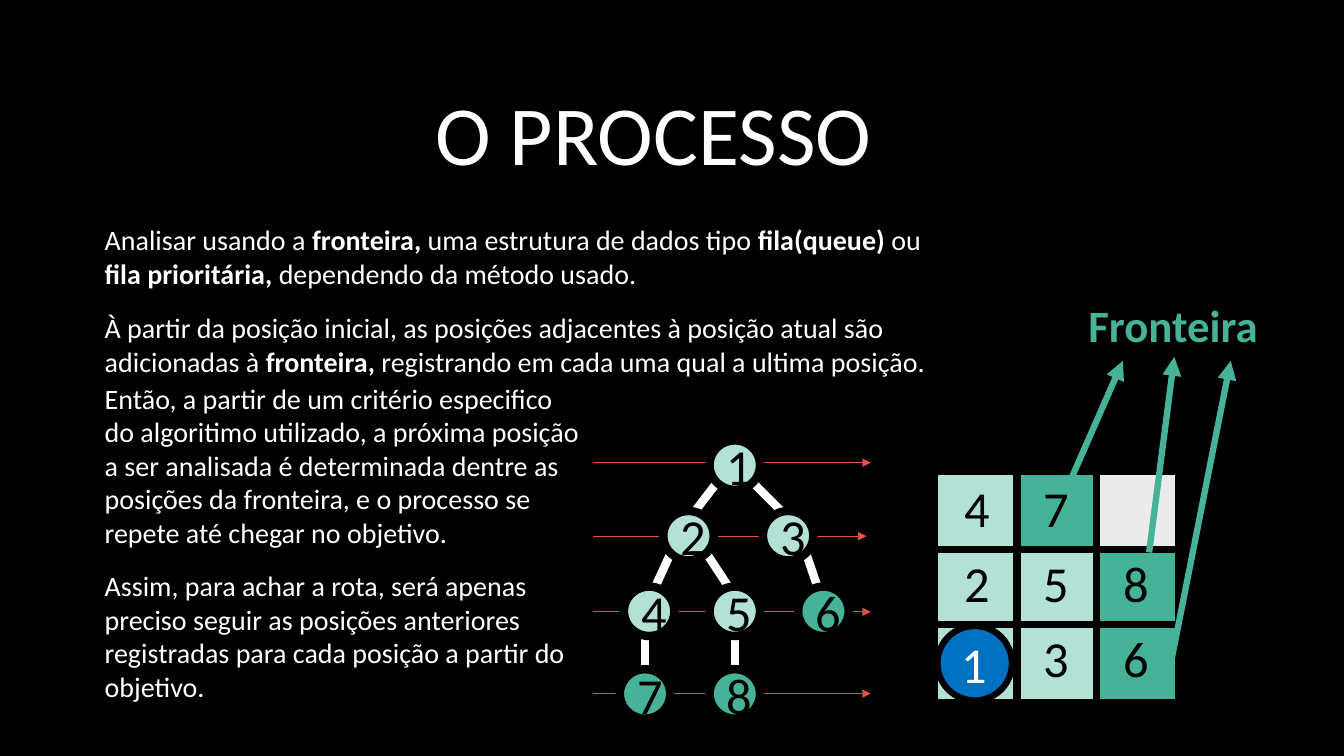
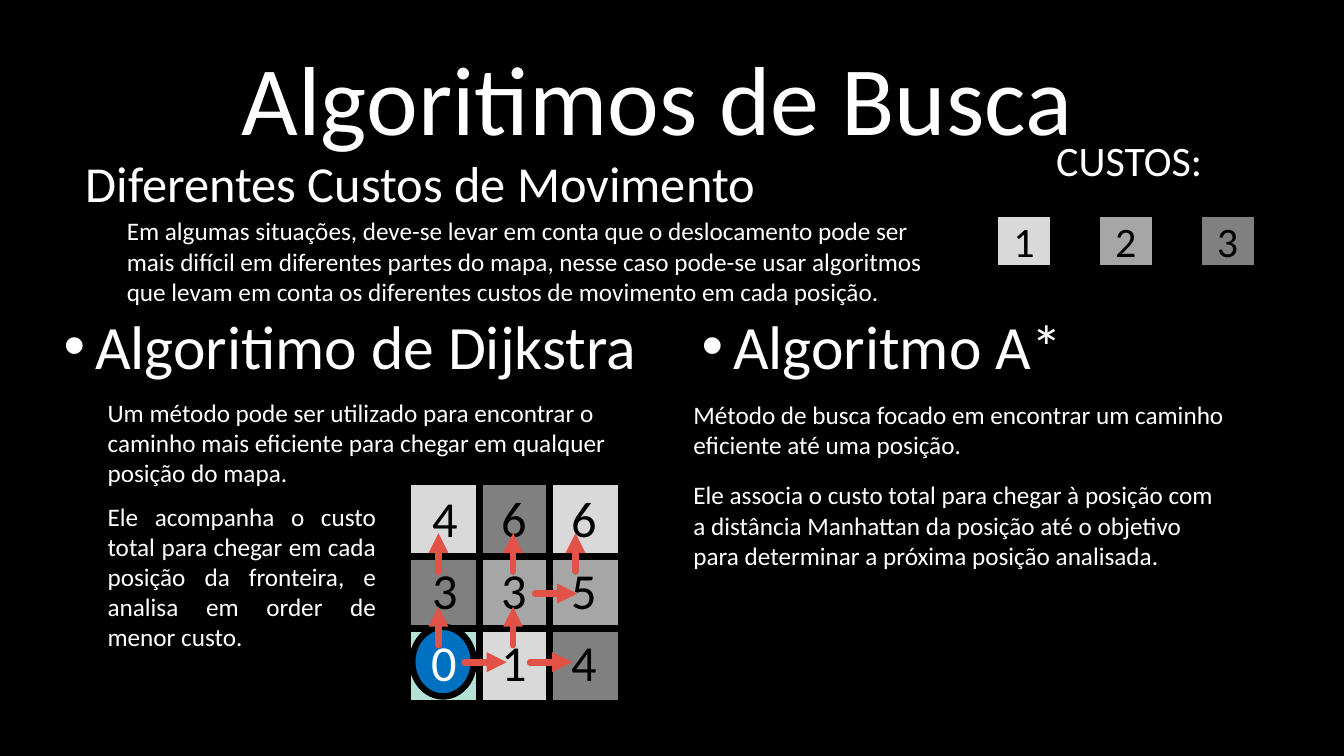
from lxml.etree import SubElement
from pptx import Presentation
from pptx.dml.color import RGBColor
from pptx.enum.shapes import MSO_CONNECTOR, MSO_SHAPE
from pptx.enum.text import MSO_ANCHOR, MSO_AUTO_SIZE, PP_ALIGN
from pptx.oxml.ns import qn
from pptx.util import Pt

FONT = "Calibri"
COLORS = {
    "black": "000000", "white": "FFFFFF", "mint": "B4E1D6", "green": "46B298",
    "blue": "0070C0", "red": "E25247", "free": "EBEBEB",
    "cost1": "D9D9D9", "cost2": "A6A6A6", "cost3": "808080",
}
NODE_W, NODE_H = 36, 35.3
NODES = {
    "1": (506.9, 314.6, "mint"), "2": (473.8, 365, "mint"), "3": (545, 365, "mint"),
    "4": (445.7, 419, "mint"), "5": (506.9, 419, "mint"), "6": (570.2, 419, "green"),
    "7": (442.8, 478, "green"), "8": (506.9, 478, "green"),
}
LINKS = ["12", "13", "24", "25", "36", "47", "58"]


def rgb(name):
    """Return the named colour."""
    return RGBColor.from_string(COLORS[name])


def pts(*values):
    """Turn numbers into lengths in points."""
    return [Pt(v) for v in values]


def style(p, size, color="white", align=None, bold=None):
    """Format a whole paragraph."""
    f = p.font
    f.name, f.size, f.bold = FONT, Pt(size), bold
    f.color.rgb = rgb(color)
    p.alignment = align


def add_text(s, box, text, size, color="white", align=None, bold=None):
    """Add a text box where **marked** words are bold."""
    tf = s.shapes.add_textbox(*pts(*box)).text_frame
    tf.word_wrap = True
    p = tf.paragraphs[0]
    style(p, size, color, align, bold)
    for i, part in enumerate(text.split("**")):
        if part:
            r = p.add_run()
            r.text = part
            if i % 2:
                r.font.bold = True


def fill_placeholder(ph, box, text, size, align, anchor=MSO_ANCHOR.MIDDLE):
    """Move a placeholder, then write and format its text."""
    ph.left, ph.top, ph.width, ph.height = pts(*box)
    tf = ph.text_frame
    tf.text = text
    tf.word_wrap, tf.auto_size, tf.vertical_anchor = True, MSO_AUTO_SIZE.NONE, anchor
    style(tf.paragraphs[0], size, align=align)
    return tf.paragraphs[0]


def add_heading(ph, box, text):
    """Fill a body placeholder with one large bullet."""
    p = fill_placeholder(ph, box, text, 44, PP_ALIGN.LEFT)
    p.space_before, p.space_after = Pt(0), Pt(10)
    pPr = p._p.get_or_add_pPr()
    pPr.set("marL", str(Pt(22.5)))
    pPr.set("indent", str(-Pt(22.5)))


def add_box(s, kind, box, fill, line_width, text="", size=36, color="black"):
    """Add a black-outlined shape with a centred label."""
    sp = s.shapes.add_shape(kind, *pts(*box))
    sp.shadow.inherit = False
    sp.fill.solid()
    sp.fill.fore_color.rgb = rgb(fill)
    sp.line.color.rgb = rgb("black")
    sp.line.width = Pt(line_width)
    if text:
        tf = sp.text_frame
        tf.text = text
        tf.vertical_anchor = MSO_ANCHOR.MIDDLE
        style(tf.paragraphs[0], size, color, PP_ALIGN.CENTER)


def add_line(s, start, end, color, width, arrow=True, cap="flat"):
    """Add a straight line, with an arrowhead at its end if wanted."""
    cxn = s.shapes.add_connector(MSO_CONNECTOR.STRAIGHT, *pts(*start, *end))
    cxn.line.color.rgb = rgb(color)
    cxn.line.width = Pt(width)
    ln = cxn.line._get_or_add_ln()
    ln.set("cap", cap)
    if arrow:
        SubElement(ln, qn("a:tailEnd"), type="triangle")
    SubElement(cxn._element.spPr, qn("a:effectLst"))


def set_borders(cell, widths):
    """Draw black left, right, top and bottom borders."""
    tcPr = cell._tc.get_or_add_tcPr()
    for i, (side, width) in enumerate(zip("LRTB", widths)):
        ln = SubElement(tcPr, qn(f"a:ln{side}"), w=str(Pt(width)))
        solid = SubElement(ln, qn("a:solidFill"))
        SubElement(solid, qn("a:srgbClr"), val=COLORS["black"])
        tcPr.insert(i, ln)


def add_map(s, left, top, col_w, row_h, frame, rows):
    """Add a framed 3 by 3 map of (label, colour) cells."""
    add_box(s, MSO_SHAPE.RECTANGLE, frame, "black", 3)
    tbl = s.shapes.add_table(3, 3, *pts(left, top, 3 * col_w, 3 * row_h)).table
    tbl.first_row = tbl.horz_banding = False
    for i, row in enumerate(rows):
        tbl.columns[i].width, tbl.rows[i].height = pts(col_w, row_h)
        for j, (label, color) in enumerate(row):
            cell = tbl.cell(i, j)
            cell.fill.solid()
            cell.fill.fore_color.rgb = rgb(color)
            set_borders(cell, [6 if inner else 1 for inner in (j > 0, j < 2, i > 0, i < 2)])
            if label:
                cell.text = label
                style(cell.text_frame.paragraphs[0], 36, "black", PP_ALIGN.CENTER)


def add_tree(s):
    """Draw the search tree with its level arrows."""
    for y, end in ((495.4, 622), (437, 622), (383, 619), (330.5, 622)):
        add_line(s, (423.4, y), (end, y), "red", 0.75)
    for parent, child in LINKS:
        (x1, y1, _), (x2, y2, _) = NODES[parent], NODES[child]
        side = 0 if abs(x2 - x1) < 10 else (1 if x2 > x1 else -1)
        x = (x1 if side else x2) + NODE_W / 2
        drop = NODE_H * (0.85 if side else 1)
        add_line(s, (x + side * 12.7, y1 + drop),
                 (x2 + NODE_W / 2 - side * 4, y2 + 1), "white", 6, arrow=False)
    for label, (x, y, color) in NODES.items():
        add_box(s, MSO_SHAPE.OVAL, (x, y, NODE_W, NODE_H), color, 6, label)


def build_process(prs):
    """Build the slide on the search process."""
    s = prs.slides.add_slide(prs.slide_layouts[5])
    fill_placeholder(s.shapes.title, (67.7, 65.5, 797.8, 57.6), "O PROCESSO", 60,
                     PP_ALIGN.CENTER)
    add_tree(s)
    add_map(s, 669.6, 339.1, 56.8, 53.5, (663.1, 333.4, 180, 172), [
        [("4", "mint"), ("7", "green"), ("", "free")],
        [("2", "mint"), ("5", "mint"), ("8", "green")],
        [("", "mint"), ("3", "mint"), ("6", "green")],
    ])
    add_box(s, MSO_SHAPE.OVAL, (669.6, 447.1, 53.3, 53.3), "blue", 4.5, "1", color="white")
    for start, end in (((763.9, 344.9), (802.1, 257.8)),
                       ((820.8, 394.6), (838.8, 254.9)),
                       ((835.9, 475.9), (879.1, 257.8))):
        add_line(s, start, end, "green", 4.5)
    add_text(s, (770.4, 208.8, 136.8, 46), "Fronteira", 32, "green", bold=True)
    for top, width, height, text in (
        (155.5, 615.6, 55.4, "Analisar usando a **fronteira,** uma estrutura de dados tipo "
         "**fila(queue)** ou **fila prioritária, **dependendo da método usado."),
        (218.2, 615.6, 55.4, "À partir da posição inicial, as posições adjacentes à posição "
         "atual são adicionadas à **fronteira, **registrando em cada uma qual a ultima "
         "posição."),
        (268.6, 355, 128.2, "Então, a partir de um critério especifico do algoritimo "
         "utilizado, a próxima posição a ser analisada é determinada dentre as posições "
         "da fronteira, e o processo se repete até chegar no objetivo."),
        (402.5, 355, 104.4, "Assim, para achar a rota, será apenas preciso seguir as "
         "posições anteriores registradas para cada posição a partir do objetivo."),
    ):
        add_text(s, (67.7, top, width, height), text, 20)


def build_algorithms(prs):
    """Build the slide on search algorithms and movement costs."""
    s = prs.slides.add_slide(prs.slide_layouts[3])
    title, left, right = s.placeholders
    add_heading(left, (38.2, 193, 515.5, 107.3), "Algoritimo de Dijkstra")
    add_heading(right, (493.9, 193, 428.4, 107.3), "Algoritmo A*")
    fill_placeholder(title, (165.6, 23, 667.4, 92.2), "Algoritimos de Busca", 70,
                     PP_ALIGN.LEFT, MSO_ANCHOR.TOP)
    add_map(s, 293, 346.3, 49.7, 50.4, (283.7, 339.1, 165.6, 169.2), [
        [("4", "cost1"), ("6", "cost3"), ("6", "cost1")],
        [("3", "cost3"), ("3", "cost2"), ("5", "cost2")],
        [("", "mint"), ("1", "cost1"), ("4", "cost3")],
    ])
    add_box(s, MSO_SHAPE.OVAL, (294.5, 447.8, 43.9, 49.7), "blue", 4.5, "0", color="white")
    for x, y in ((378.7, 473), (382.3, 424), (331.9, 473)):
        add_line(s, (x, y), (x + 30, y), "red", 4.75, cap="rnd")
    for x, y in ((313.2, 408.2), (313.2, 460.8), (366.5, 408.2), (366.5, 460.8),
                 (411.1, 408.2)):
        add_line(s, (x, y), (x, y - 27.4), "red", 4.75, cap="rnd")
    add_text(s, (54, 105.1, 548.6, 51), "Diferentes Custos de Movimento", 36)
    add_text(s, (747.4, 92.9, 146.2, 44), "CUSTOS:", 30)
    for i in range(3):
        add_box(s, MSO_SHAPE.RECTANGLE, (709.9 + 72.7 * i, 152, 43.2, 40.3),
                f"cost{i + 1}", 6, str(i + 1), 30)
    for box, align, text in (
        ((83.5, 150.5, 597.6, 72.7), None, "Em algumas situações, deve-se levar em conta "
         "que o deslocamento pode ser mais difícil em diferentes partes do mapa, nesse caso "
         "pode-se usar algoritmos que levam em conta os diferentes custos de movimento em "
         "cada posição."),
        ((69.8, 280.1, 379.4, 94.3), None, "Um método pode ser utilizado para encontrar o "
         "caminho mais eficiente para chegar em qualquer posição do mapa."),
        ((69.8, 354.2, 205.9, 116.6), PP_ALIGN.JUSTIFY, "Ele acompanha o custo total para "
         "chegar em cada posição da fronteira, e analisa em order de menor custo."),
        ((488.2, 281.5, 416.9, 51), None, "Método de busca focado em encontrar um caminho "
         "eficiente até uma posição."),
        ((488.2, 339.1, 390.2, 72.7), None, "Ele associa o custo total para chegar à posição "
         "com a distância Manhattan da posição até o objetivo para determinar a próxima "
         "posição analisada."),
    ):
        add_text(s, box, text, 18, align=align)


def main():
    """Build and save the presentation."""
    prs = Presentation()
    prs.slide_width, prs.slide_height = pts(960, 540)
    fill = prs.slide_master.background.fill
    fill.solid()
    fill.fore_color.rgb = rgb("black")
    build_process(prs)
    build_algorithms(prs)
    prs.save("out.pptx")


if __name__ == "__main__":
    main()
